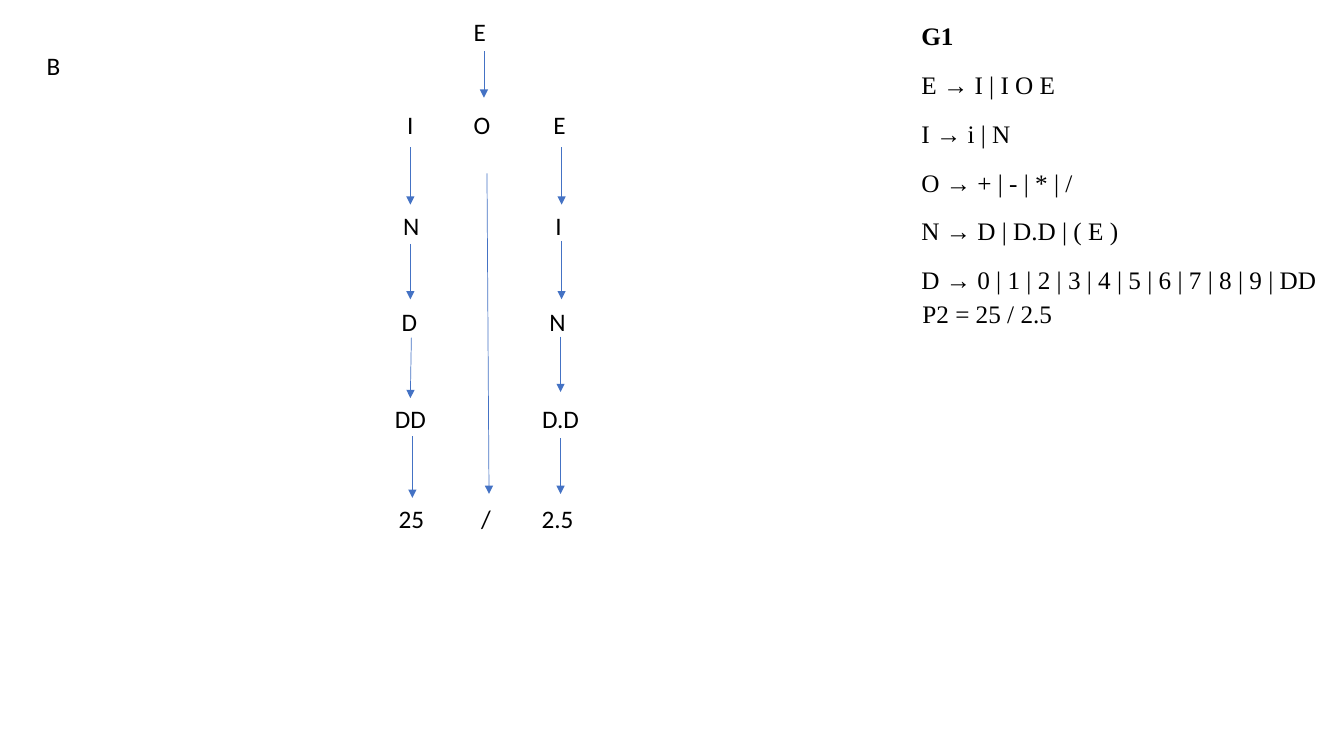
from lxml.etree import SubElement
from pptx import Presentation
from pptx.dml.color import RGBColor
from pptx.enum.shapes import MSO_CONNECTOR as Connector
from pptx.enum.text import PP_ALIGN as Align
from pptx.oxml.ns import qn
from pptx.util import Inches, Pt

BLACK = RGBColor(0x00, 0x00, 0x00)
BLUE = RGBColor(0x44, 0x72, 0xC4)
LABEL_WIDTH, LABEL_HEIGHT = 0.57, 0.4
ROWS = [0.11, 1.04, 2.04, 2.99, 3.95, 4.94]
GRAMMAR = [
    "G1",
    "E → I | I O E",
    "I → i | N",
    "O → + | - | * | /",
    "N → D | D.D | ( E ) ",
    "D → 0 | 1 | 2 | 3 | 4 | 5 | 6 | 7 | 8 | 9 | DD",
]
NODES = [
    ("E", 4.76, 0),
    ("I", 4.07, 1), ("O", 4.78, 1), ("E", 5.55, 1),
    ("N", 4.08, 2), ("I", 5.54, 2),
    ("D", 4.06, 3), ("N", 5.53, 3),
    ("DD", 4.07, 4), ("D.D", 5.56, 4),
    ("25", 4.08, 5), ("/", 4.82, 5), ("2.5", 5.53, 5),
]
ARROWS = [
    (4.8, 0.51, 4.8, 0.97),
    (4.07, 1.46, 4.07, 2.03),
    (4.07, 2.42, 4.07, 2.97),
    (4.08, 3.35, 4.07, 3.95),
    (4.09, 4.33, 4.09, 4.94),
    (4.83, 1.72, 4.85, 4.9),
    (5.57, 1.46, 5.57, 2.03),
    (5.57, 2.39, 5.57, 2.97),
    (5.56, 3.34, 5.56, 3.89),
    (5.56, 4.35, 5.56, 4.9),
]


class TreeSlide:
    """Draws the text and arrows of a parse tree slide in one style."""

    def __init__(self, slide):
        self.shapes = slide.shapes

    def text(self, lines, left, top, width, height, font="Times New Roman"):
        box = self.shapes.add_textbox(Inches(left), Inches(top), Inches(width), Inches(height))
        frame = box.text_frame
        frame.word_wrap = True
        frame.text = "\n".join(lines)
        for para in frame.paragraphs:
            para.font.name = font
            para.font.size = Pt(18)
            para.font.color.rgb = BLACK
        return frame

    def grammar(self, lines, left, top, width, height):
        frame = self.text(lines, left, top, width, height)
        for para in frame.paragraphs:
            para.line_spacing = 1.15
            para.space_after = Pt(10)
        frame.paragraphs[0].font.bold = True

    def label(self, text, center, top):
        left = center - LABEL_WIDTH / 2
        frame = self.text([text], left, top, LABEL_WIDTH, LABEL_HEIGHT, "Calibri")
        frame.word_wrap = False
        frame.paragraphs[0].alignment = Align.CENTER

    def arrow(self, *ends):
        arrow = self.shapes.add_connector(Connector.STRAIGHT, *map(Inches, ends))
        arrow.line.color.rgb = BLUE
        arrow.line.width = Pt(0.5)
        SubElement(arrow.line._get_or_add_ln(), qn("a:tailEnd"), type="triangle")
        SubElement(arrow._element.spPr, qn("a:effectLst"))


deck = Presentation()
deck.slide_width, deck.slide_height = Inches(13.33), Inches(7.5)
page = TreeSlide(deck.slides.add_slide(deck.slide_layouts[6]))
page.grammar(GRAMMAR, 9.04, 0.11, 4.2, 2.86)
page.text(["P2 = 25 / 2.5"], 9.05, 2.91, 2.27, 0.71)
page.label("B", 0.53, 0.45)
for symbol, center, row in NODES:
    page.label(symbol, center, ROWS[row])
for ends in ARROWS:
    page.arrow(*ends)
deck.save("out.pptx")
